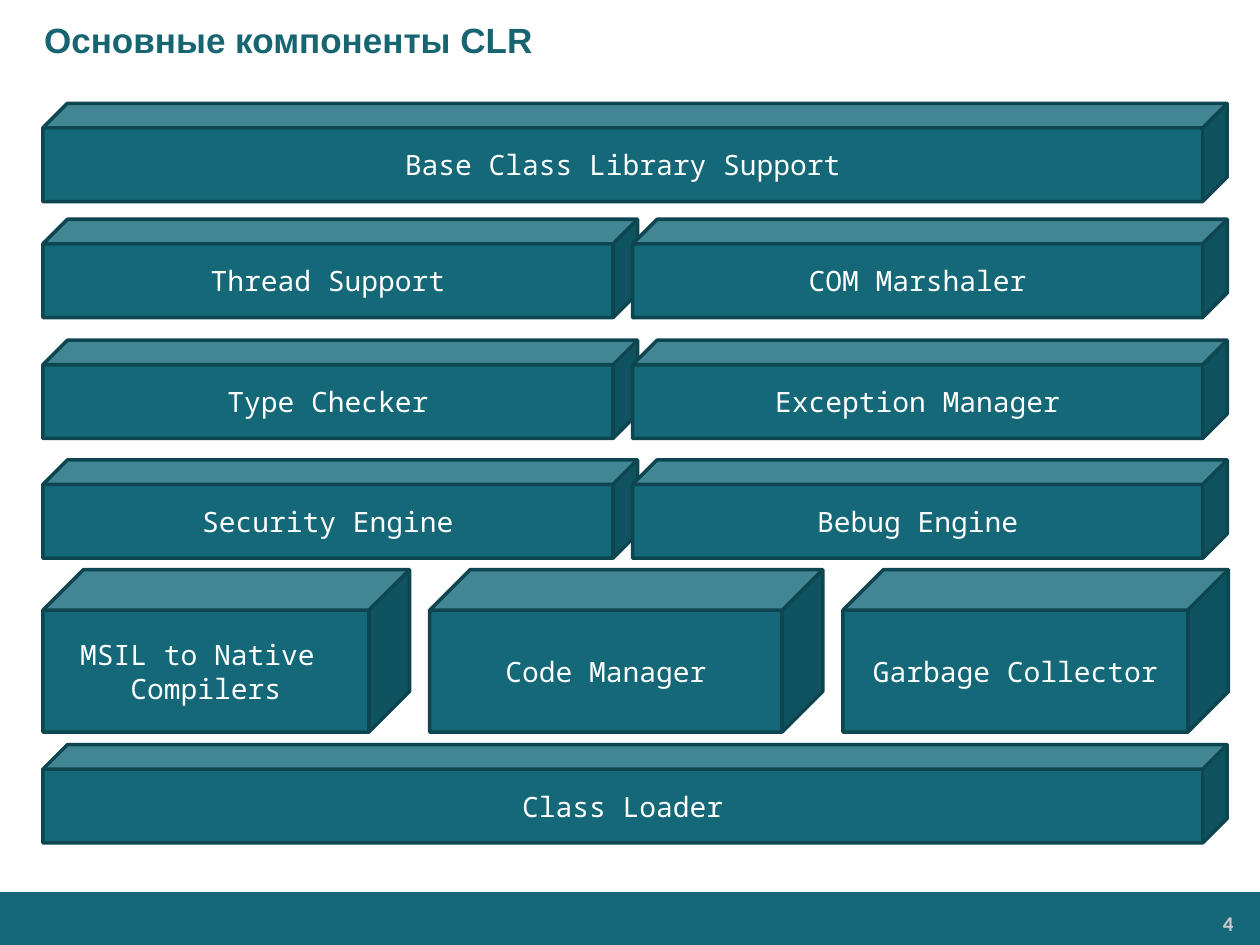
from pptx import Presentation
from pptx.dml.color import RGBColor as Rgb
from pptx.enum.shapes import MSO_SHAPE as Shape
from pptx.enum.text import MSO_ANCHOR as Anchor, PP_ALIGN as Align
from pptx.util import Inches, Pt

TEAL, EDGE, INK = "146878", "0D4650", "176571"
WHITE, GREY = "FFFFFF", "CCCCCC"
LEFT, WIDE, HALF, LOW, TALL = 0.34, 9.4, 4.72, 0.78, 1.29

ROWS = [
    (0.82, LOW, 0, [("Base Class Library Support", WIDE)]),
    (1.74, LOW, -0.04, [("Thread Support", HALF), ("COM Marshaler", HALF)]),
    (2.7, LOW, -0.04, [("Type Checker", HALF), ("Exception Manager", HALF)]),
    (3.65, LOW, -0.04, [("Security Engine", HALF), ("Bebug Engine", HALF)]),
    (4.52, TALL, 0.16, [("MSIL to Native \nCompilers", 2.91),
                        ("Code Manager", 3.12), ("Garbage Collector", 3.06)]),
    (5.91, LOW, 0, [("Class Loader", WIDE)]),
]


def color(code):
    return Rgb.from_string(code)


class Deck:
    """Holds the style and the current slide."""

    def __init__(self):
        self.file = Presentation()
        self.file.slide_width, self.file.slide_height = Inches(10), Inches(7.5)
        self.slide = self.file.slides.add_slide(self.file.slide_layouts[5])

    def label(self, frame, text, size, face, tint, align, bold=False):
        frame.text = text
        frame.word_wrap = True
        for para in frame.paragraphs:
            para.alignment = align
            for run in para.runs:
                font = run.font
                font.size, font.name, font.bold = Pt(size), face, bold
                font.color.rgb = color(tint)

    def pad(self, frame, side, end):
        frame.margin_left = frame.margin_right = Inches(side)
        frame.margin_top = frame.margin_bottom = Inches(end)

    def title(self, text):
        box = self.slide.shapes.title
        box.left, box.top = Inches(0), Inches(0)
        box.width, box.height = Inches(10), Inches(0.63)
        frame = box.text_frame
        self.label(frame, text, 20, "Arial", INK, Align.LEFT, True)
        frame.margin_left = Inches(0.35)
        frame.vertical_anchor = Anchor.MIDDLE

    def block(self, kind, x, y, w, h):
        shape = self.slide.shapes.add_shape(
            kind, Inches(x), Inches(y), Inches(w), Inches(h))
        shape.shadow.inherit = False
        shape.fill.solid()
        shape.fill.fore_color.rgb = color(TEAL)
        shape.line.fill.background()
        return shape

    def cube(self, text, x, y, w, h):
        shape = self.block(Shape.CUBE, x, y, w, h)
        shape.line.color.rgb = color(EDGE)
        shape.line.width = Pt(2)
        frame = shape.text_frame
        self.label(frame, text, 16, "Noto Sans Mono", WHITE, Align.CENTER)
        self.pad(frame, 0.05, 0.05)
        frame.vertical_anchor = Anchor.MIDDLE

    def row(self, top, high, gap, cells):
        x = LEFT
        for text, wide in cells:
            self.cube(text, x, top, wide, high)
            x += wide + gap

    def number(self, text):
        box = self.slide.shapes.add_textbox(
            Inches(8.23), Inches(7.19), Inches(1.63), Inches(0.28))
        frame = box.text_frame
        self.label(frame, text, 12, "Calibri", GREY, Align.RIGHT, True)
        self.pad(frame, 0.07, 0.04)


def main():
    deck = Deck()
    deck.block(Shape.RECTANGLE, 0, 7.08, 10, 0.42)
    deck.number("4")
    deck.title("Основные компоненты CLR")
    for row in ROWS:
        deck.row(*row)
    deck.file.save("out.pptx")


if __name__ == "__main__":
    main()
